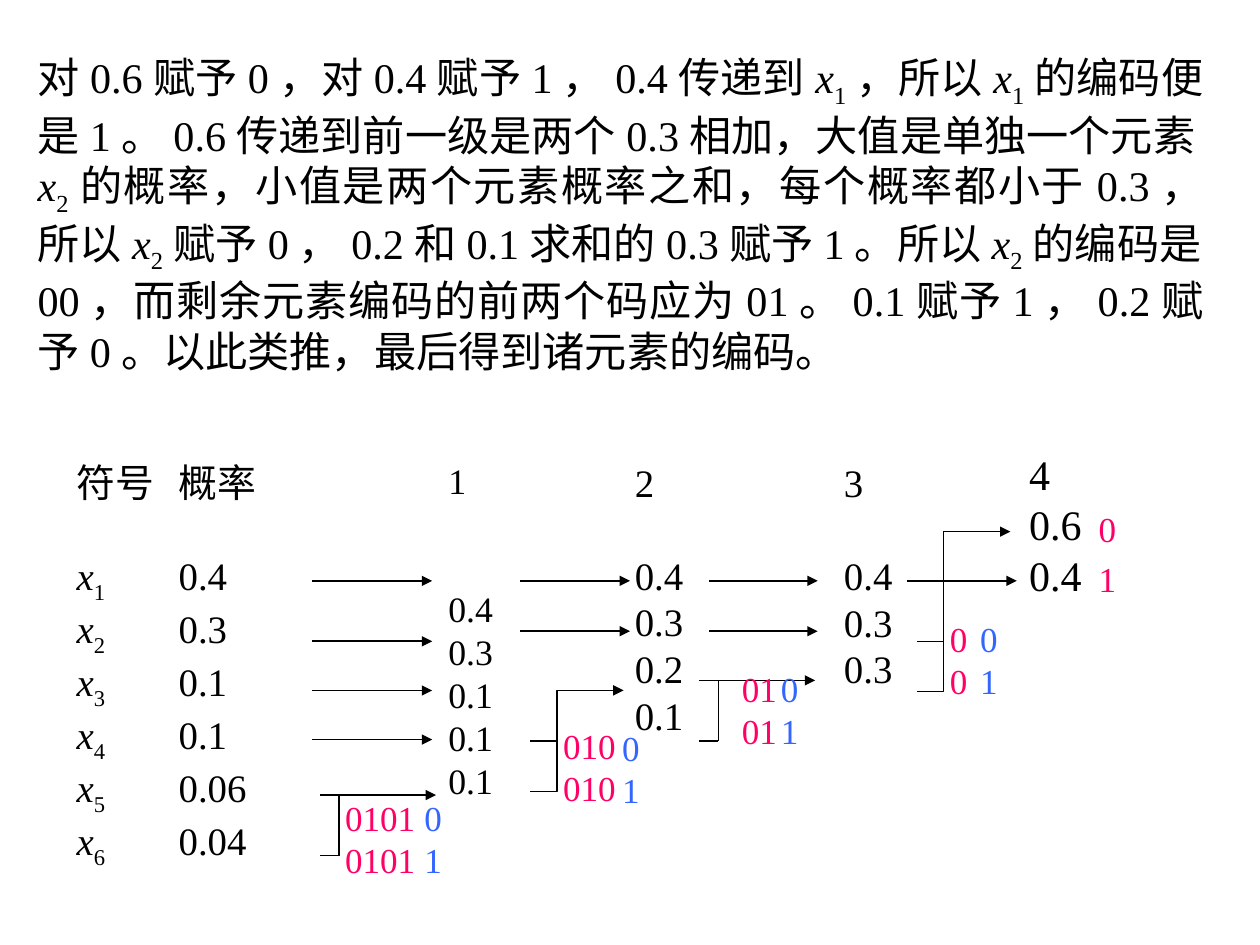
"""Build a slide that explains Huffman coding with a step-by-step merging diagram."""
from pptx import Presentation
from pptx.dml.color import RGBColor
from pptx.enum.shapes import MSO_CONNECTOR, MSO_SHAPE
from pptx.enum.text import MSO_ANCHOR, PP_ALIGN
from pptx.oxml.ns import qn
from pptx.util import Inches, Pt
from lxml import etree

STRAIGHT, ELBOW = MSO_CONNECTOR.STRAIGHT, MSO_CONNECTOR.ELBOW
RECTANGLE = MSO_SHAPE.RECTANGLE
TOP, JUSTIFY = MSO_ANCHOR.TOP, PP_ALIGN.JUSTIFY
BLACK, WHITE, PINK, BLUE = "000000", "FFFFFF", "FF0066", "3366FF"

presentation = Presentation()
presentation.slide_width, presentation.slide_height = Inches(10), Inches(7.5)
slide = presentation.slides.add_slide(presentation.slide_layouts[6])


def add_text(lines, left, top, width, height, size, color=BLACK, fill=None,
             gap=0, spacing=1, tab=None, wrap=True):
    """Write lines in a box; x followed by a digit becomes a subscripted symbol."""
    box = tuple(map(Inches, (left, top, width, height)))
    if fill:
        shape = slide.shapes.add_shape(RECTANGLE, *box)
        shape.shadow.inherit = False
        shape.fill.solid()
        shape.fill.fore_color.rgb = RGBColor.from_string(fill)
        shape.line.fill.background()
    else:
        shape = slide.shapes.add_textbox(*box)
    frame = shape.text_frame
    frame.word_wrap = wrap
    frame.vertical_anchor = TOP
    for index, line in enumerate(lines):
        paragraph = frame.paragraphs[0] if index == 0 else frame.add_paragraph()
        paragraph.alignment = JUSTIFY
        paragraph.line_spacing = spacing
        if index == 1 and gap:
            paragraph.space_before = Pt(gap)
        if tab:
            tabs = etree.SubElement(paragraph._p.get_or_add_pPr(), qn("a:tabLst"))
            etree.SubElement(tabs, qn("a:tab"), pos=str(Inches(tab)), algn="l")
        first, *others = line.split("x")
        pieces = [(first, False, None)]
        for other in others:
            pieces += [("x", True, None), (other[0], False, "-25000"), (other[1:], False, None)]
        for text, italic, baseline in pieces:
            if text:
                run = paragraph.add_run()
                run.text = text
                run.font.size = Pt(size)
                run.font.name = "Times New Roman"
                run.font.italic = italic
                run.font.color.rgb = RGBColor.from_string(color)
                if baseline:
                    run.font._element.set("baseline", baseline)


def add_line(x1, y1, x2, y2, width=0.75, arrow=False, kind=STRAIGHT, bend=None):
    """Draw a connector with an optional arrowhead and bend position."""
    connector = slide.shapes.add_connector(kind, *map(Inches, (x1, y1, x2, y2)))
    connector.line.width = Pt(width)
    connector.line.color.rgb = RGBColor.from_string(BLACK)
    properties = connector._element.spPr
    if arrow:
        etree.SubElement(connector.line._get_or_add_ln(), qn("a:tailEnd"), type="triangle")
    if bend:
        guides = properties.find(qn("a:prstGeom")).find(qn("a:avLst"))
        etree.SubElement(guides, qn("a:gd"), name="adj1", fmla=f"val {round(bend * 100000)}")
    etree.SubElement(properties, qn("a:effectLst"))


explanation = (
    "对0.6赋予0，对0.4赋予1，0.4传递到x1，所以x1的编码便是1。"
    "0.6传递到前一级是两个0.3相加，大值是单独一个元素x2的概率，"
    "小值是两个元素概率之和，每个概率都小于0.3，所以x2赋予0，"
    "0.2和0.1求和的0.3赋予1。所以x2的编码是00，而剩余元素编码的前两个码应为01。"
    "0.1赋予1，0.2赋予0。以此类推，最后得到诸元素的编码。"
)
add_text([explanation], 0.2, 0.36, 9.45, 2.99, 24.1, fill=WHITE)

probabilities = ["0.4", "0.3", "0.1", "0.1", "0.06", "0.04"]
symbol_rows = [f"x{number}\t{value}" for number, value in enumerate(probabilities, 1)]
add_text(["符号\t概率"] + symbol_rows, 0.51, 3.59, 1.84, 3.52, 22.2,
         fill=WHITE, gap=26.5, tab=0.81)

steps = [
    (3.46, 3.59, 2.88, 20.4, 49, ["1", "0.4", "0.3", "0.1", "0.1", "0.1"]),
    (4.94, 3.59, 2.4, 22.2, 26.5, ["2", "0.4", "0.3", "0.2", "0.1"]),
    (6.6, 3.59, 2.08, 22.2, 26.5, ["3", "0.4", "0.3", "0.3"]),
    (8.07, 3.51, 1.6, 24, 0, ["4", "0.6", "0.4"]),
]
for left, top, height, size, gap, values in steps:
    add_text(values, left, top, 0.74, height, size, fill=WHITE, gap=gap)

for left, top, bottom in [(2.54, 6.31, 6.79), (5.55, 5.4, 5.88)]:
    stem = left + 0.15
    add_line(stem, top, stem, bottom)
    add_line(stem, bottom, left, bottom)
    add_line(left, top, left + 0.92, top, arrow=True)

for left, top, middle, bottom in [(4.21, 5.48, 5.88, 6.28), (7.28, 4.22, 5.09, 5.49)]:
    add_line(left, bottom, left + 0.74, top, arrow=True, kind=ELBOW, bend=0.285)
    add_line(left + 0.21, middle, left, middle)

carried_values = [
    (2.48, 0.95, [4.61, 5.09, 5.48, 5.87]),
    (4.13, 0.87, [4.61, 5.01]),
    (5.63, 0.86, [4.61, 5.01]),
    (7.2, 0.87, [4.61]),
]
for left, length, heights in carried_values:
    for y in heights:
        add_line(left, y, left + length, y, width=1, arrow=True)

add_text(["0", "1"], 8.62, 3.91, 0.39, 0.9, 20, PINK, spacing=1.2, wrap=False)
codes = [
    ("0", 7.44, 4.85, 7.68, 4.85),
    ("01", 5.79, 5.25, 6.1, 5.25),
    ("010", 4.37, 5.7, 4.84, 5.72),
    ("0101", 2.64, 6.27, 3.27, 6.27),
]
for prefix, prefix_left, prefix_top, bit_left, bit_top in codes:
    add_text([prefix] * 2, prefix_left, prefix_top, 0.2 + 0.16 * len(prefix), 0.77, 20, PINK, wrap=False)
    add_text(["0", "1"], bit_left, bit_top, 0.36, 0.77, 20, BLUE, wrap=False)

presentation.save("out.pptx")
